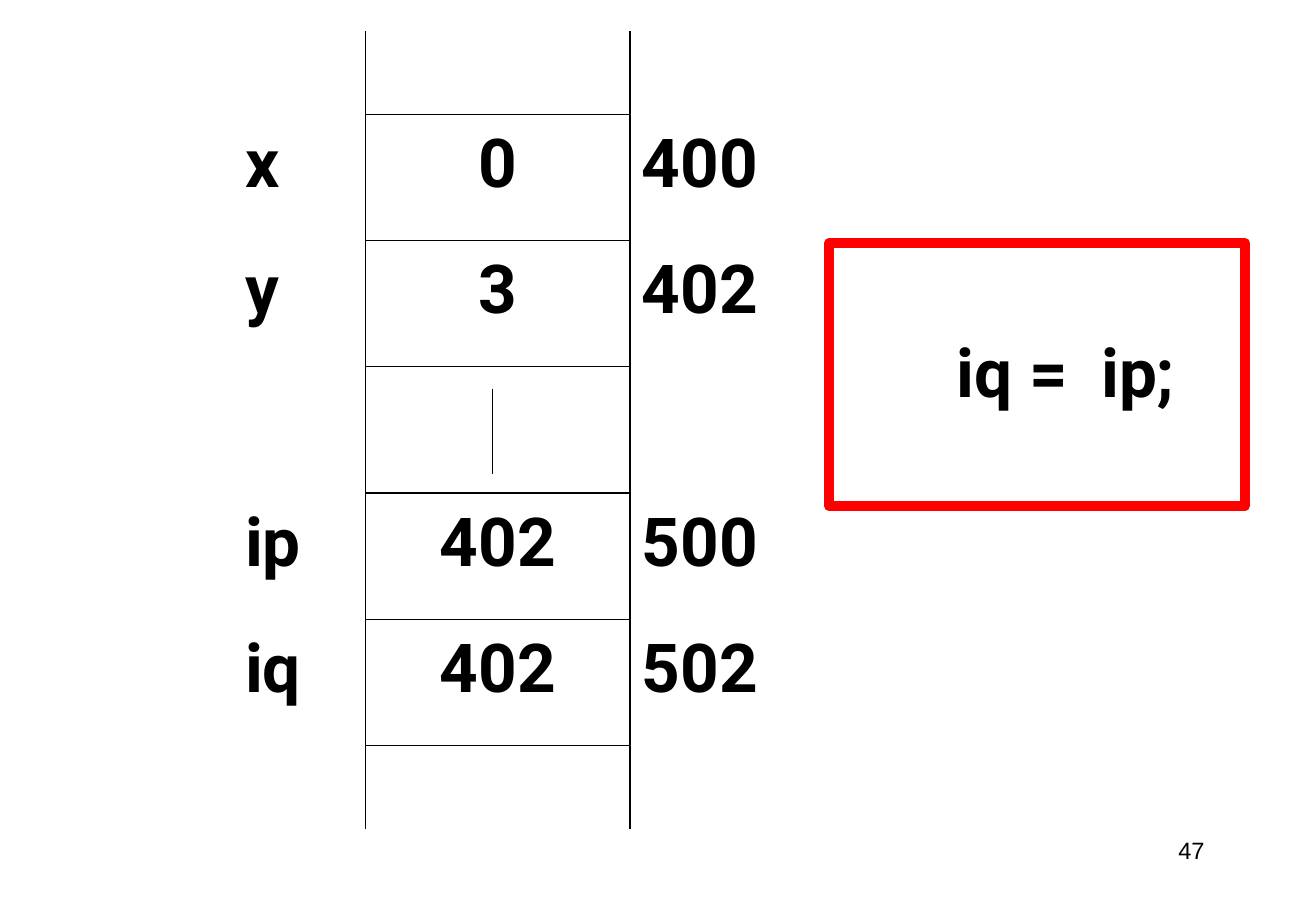
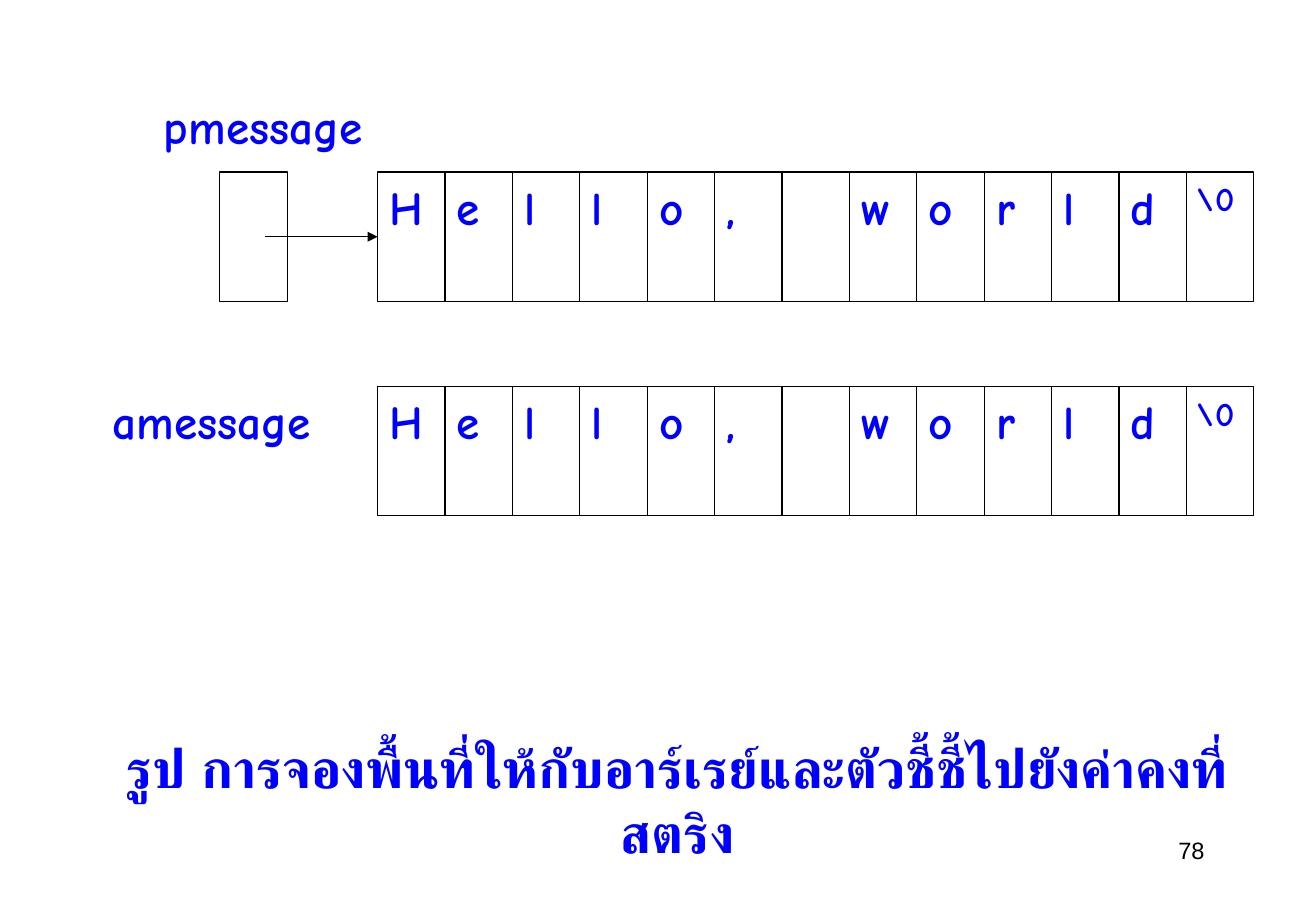
from dataclasses import dataclass
from typing import Optional

from lxml import etree
from pptx import Presentation
from pptx.dml.color import RGBColor
from pptx.enum import shapes, text
from pptx.oxml import ns
from pptx.util import Cm, Pt

INK = {"black": "000000", "white": "FFFFFF", "blue": "0000FF", "red": "FF0000"}
LEFT, MID, RIGHT = text.PP_ALIGN.LEFT, text.PP_ALIGN.CENTER, text.PP_ALIGN.RIGHT


@dataclass(frozen=True)
class Style:
    font: str
    size: int
    ink: str = "black"
    bold: bool = True
    align: text.PP_ALIGN = LEFT


@dataclass(frozen=True)
class Box:
    """A place on the slide, in centimetres."""
    x: float
    y: float
    w: float
    h: float

    def place(self) -> tuple:
        return Cm(self.x), Cm(self.y), Cm(self.w), Cm(self.h)


@dataclass(frozen=True)
class Row:
    """One memory cell with its name and address."""
    name: str = ""
    value: str = ""
    addr: str = ""


CODE = Style("Roboto", 40)
VALUE = Style("Roboto", 40, align=MID)
TITLE = Style("Roboto", 32, "blue", align=MID)
CHAR = Style("Comic Neue", 28, "blue")
NULL = Style("Comic Neue", 20, "blue")
FOOT = Style("Arial", 14, bold=False, align=RIGHT)

ROWS = [Row("x", "0", "400"), Row("y", "3", "402"), Row(),
        Row("ip", "402", "500"), Row("iq", "402", "502")]
CHARS = [*"Hello, world", "\\0"]


def color(ink: str) -> RGBColor:
    return RGBColor.from_string(INK[ink])


def write(shape, words: str, style: Style) -> None:
    frame = shape.text_frame
    frame.word_wrap = True
    frame.vertical_anchor = text.MSO_ANCHOR.TOP
    para = frame.paragraphs[0]
    para.alignment = style.align
    run = para.add_run()
    run.text = words
    font = run.font
    font.name, font.size, font.bold = style.font, Pt(style.size), style.bold
    font.color.rgb = color(style.ink)


def label(slide, box: Box, words: str, style: Style) -> None:
    write(slide.shapes.add_textbox(*box.place()), words, style)


def rect(tree, box: Box, words: str = "", style: Style = CHAR,
         fill: Optional[str] = "white", edge: str = "black",
         width: float = 0.75):
    shape = tree.add_shape(shapes.MSO_SHAPE.RECTANGLE, *box.place())
    shape.shadow.inherit = False
    if fill:
        shape.fill.solid()
        shape.fill.fore_color.rgb = color(fill)
    else:
        shape.fill.background()
    shape.line.color.rgb = color(edge)
    shape.line.width = Pt(width)
    if words.strip():
        write(shape, words, style)
    return shape


def line(slide, x1: float, y1: float, x2: float, y2: float,
         arrow: bool = False):
    link = slide.shapes.add_connector(
        shapes.MSO_CONNECTOR.STRAIGHT, Cm(x1), Cm(y1), Cm(x2), Cm(y2))
    link.line.color.rgb = color("black")
    link.line.width = Pt(0.75)
    if arrow:
        stroke = link.line._get_or_add_ln()
        etree.SubElement(stroke, ns.qn("a:tailEnd"), type="triangle")
    etree.SubElement(link._element.spPr, ns.qn("a:effectLst"))
    return link


def start(deck, number: int):
    slide = deck.slides.add_slide(deck.slide_layouts[6])
    label(slide, Box(19.71, 17.35, 5.74, 1.27), str(number), FOOT)
    return slide


def memory(deck) -> None:
    slide = start(deck, 47)
    x, y, w, h, stub = 7.65, 2.39, 5.53, 2.64, 1.75
    end = y + len(ROWS) * h
    for side in (x, x + w):
        line(slide, side, y, side, y - stub)
        line(slide, side, end + stub, side, end)
    for i, row in enumerate(ROWS):
        top = y + i * h
        rect(slide.shapes, Box(x, top, w, h), row.value, VALUE)
        if row.name:
            label(slide, Box(4.88, top, 2.77, h), row.name, CODE)
            label(slide, Box(x + w, top, 4.62, h), row.addr, CODE)
    line(slide, 10.31, 8.13, 10.31, 9.91)
    label(slide, Box(19.76, 6.78, 5.9, 1.9), "iq =  ip;", CODE)
    rect(slide.shapes, Box(17.35, 5.08, 8.69, 5.51),
         fill=None, edge="red", width=6)


def string(slide, y: float):
    """Draw the row of characters and return its first cell."""
    group = slide.shapes.add_group_shape()
    w = 1.41
    cells = [rect(group.shapes, Box(7.9 + i * w, y, w, 2.7), char,
                  CHAR if len(char) == 1 else NULL)
             for i, char in enumerate(CHARS)]
    cells[-1].text_frame.margin_left = Cm(0.2)
    return cells[0]


def strings(deck) -> None:
    slide = start(deck, 78)
    label(slide, Box(1.37, 15.24, 25.6, 2.97),
          "รูป การจองพื้นที่ให้กับอาร์เรย์และตัวชี้ชี้ไปยังค่าคงที่สตริง", TITLE)
    first = string(slide, 3.6)
    string(slide, 8.08)
    label(slide, Box(2.11, 8.08, 5.77, 3.58), "amessage", CHAR)
    rect(slide.shapes, Box(4.6, 3.6, 1.41, 2.7))
    label(slide, Box(3.18, 1.9, 5.51, 3.58), "pmessage", CHAR)
    link = line(slide, 5.54, 4.95, 7.9, 4.95, arrow=True)
    link.end_connect(first, 1)


def main() -> None:
    deck = Presentation()
    deck.slide_width, deck.slide_height = Cm(27.53), Cm(19.05)
    memory(deck)
    strings(deck)
    deck.save("out.pptx")


if __name__ == "__main__":
    main()
